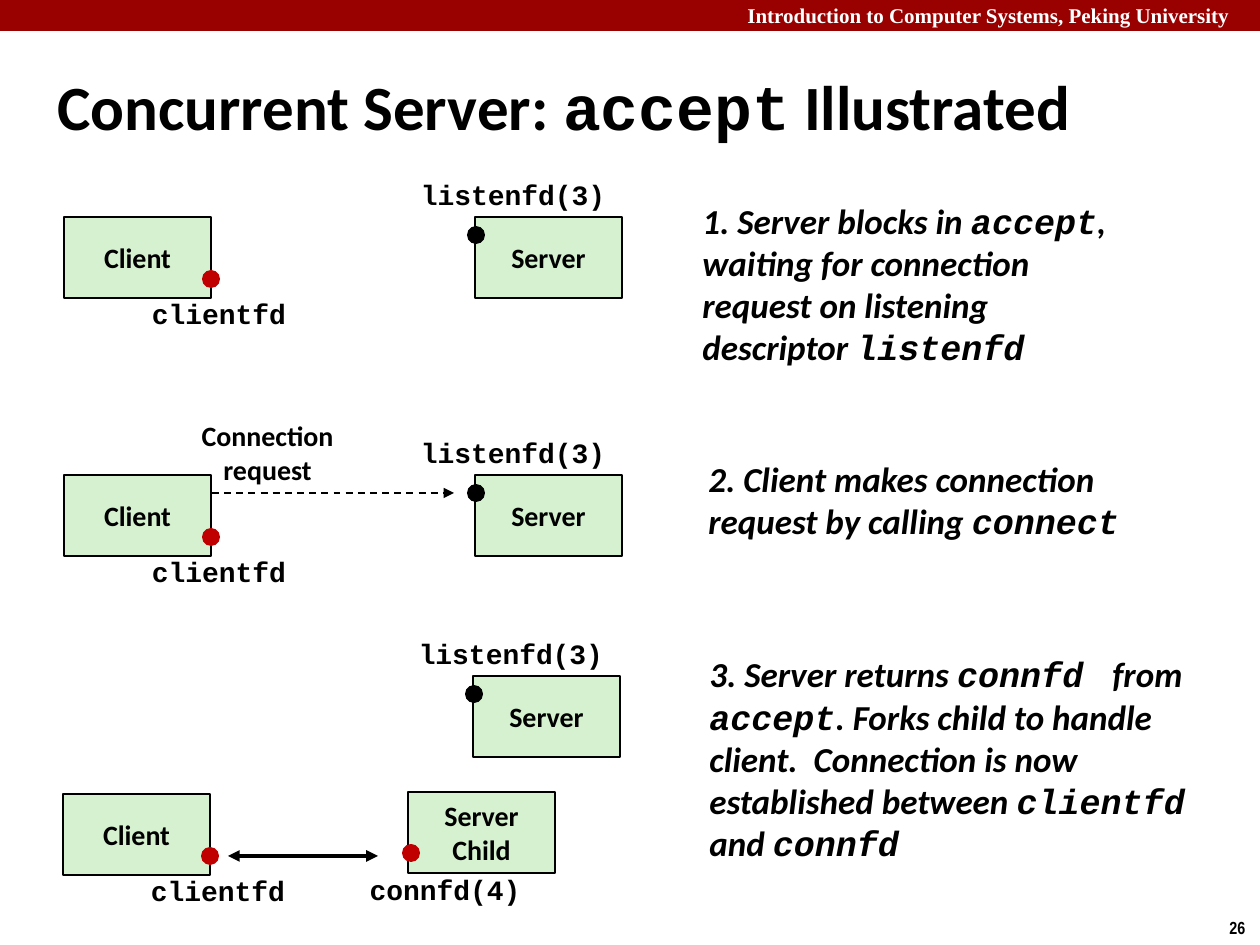
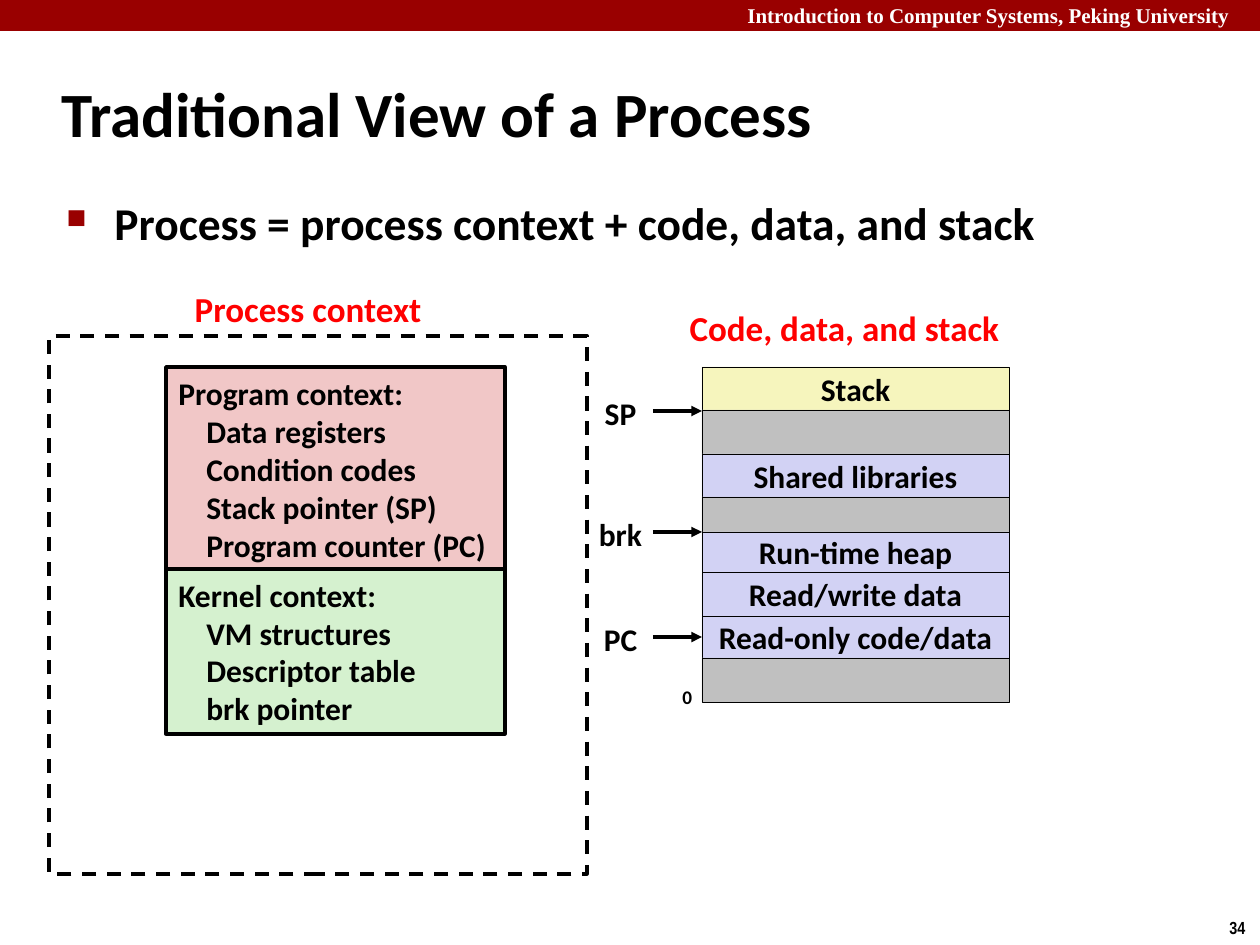
from lxml.etree import SubElement
from pptx import Presentation
from pptx.dml.color import RGBColor
from pptx.enum.dml import MSO_LINE
from pptx.enum.shapes import MSO_CONNECTOR, MSO_SHAPE
from pptx.enum.text import MSO_ANCHOR, PP_ALIGN
from pptx.oxml.ns import qn
from pptx.util import Pt

# Shared style
PX = 914400 / 126
SANS, MONO = "Calibri", "Courier New"
BLACK, WHITE, BAND, RED, DOT_RED = "000000", "FFFFFF", "990000", "FF0000", "C00000"
GREEN, PINK, YELLOW, LILAC, GRAY = "D5F1CF", "F1C7C7", "F6F5BD", "D2D2F4", "C0C0C0"
COURSE = "Introduction to Computer Systems, Peking University"
TOP, MIDDLE = MSO_ANCHOR.TOP, MSO_ANCHOR.MIDDLE
LEFT, CENTER = PP_ALIGN.LEFT, PP_ALIGN.CENTER

# Slide 1: backticks mark code
ACCEPT = {"title": "Concurrent Server: `accept` Illustrated",
          "title_at": (45, 66, 1155, 79), "number": "26"}
HOST_SIZE = (147, 81)
DOT_SIZE = (18, 18)
# Kind: dot colour, dot offset, descriptor, descriptor offset and size
HOST_KINDS = {
    "Client": (DOT_RED, (138, 53), "clientfd", (75, 73, 160, 47)),
    "Server": (BLACK, (-8, 9), "listenfd(3)", (-67, -46, 210, 47)),
    "Server\nChild": (DOT_RED, (-6, 52), "connfd(4)", (-51, 74, 176, 47)),
}
HOSTS = [
    ("Client", 64, 217), ("Server", 475, 217),
    ("Client", 64, 475), ("Server", 475, 475),
    ("Server", 473, 676),
    ("Client", 63, 794), ("Server\nChild", 408, 792),
]
STEPS = [
    ("1. Server blocks in `accept`, waiting for connection request on "
     "listening descriptor `listenfd`", (690, 192, 454, 183)),
    ("2. Client makes connection request by calling `connect`",
     (696, 451, 505, 97)),
    ("3. Server returns `connfd ` from `accept`. Forks child to handle client.  "
     "Connection is now established between `clientfd` and `connfd`",
     (697, 646, 553, 224)),
]

# Slide 2
PROCESS = {"title": "Traditional View of a Process",
           "title_at": (49, 60, 1046, 105), "number": "34"}
DEFINITION = "Process = process context + code, data, and stack"
HEADINGS = [("Process context", (180, 281, 256, 55)),
            ("Code, data, and stack", (675, 300, 339, 55))]
CONTEXTS = [
    ("Program context:\nData registers\nCondition codes\n"
     "Stack pointer (SP)\nProgram counter (PC)", PINK, (166, 367, 339, 204)),
    ("Kernel context:\nVM structures\nDescriptor table\nbrk pointer",
     GREEN, (166, 569, 339, 165)),
]
MEMORY_LEFT, MEMORY_TOP, MEMORY_WIDTH = 702, 367, 307
MEMORY = [  # region, colour, height
    ("Stack", YELLOW, 43), ("", GRAY, 44), ("Shared libraries", LILAC, 43),
    ("", GRAY, 35), ("Run-time heap", LILAC, 40), ("Read/write data", LILAC, 44),
    ("Read-only code/data", LILAC, 42), ("", GRAY, 44),
]
POINTERS = [("SP", 411), ("brk", 532), ("PC", 637)]  # name, arrow height


def emu(*lengths):
    return [round(length * PX) for length in lengths]


def color(hex_code):
    return RGBColor.from_string(hex_code)


def write(shape, text, size=16, font=SANS, ink=BLACK, italic=False, align=CENTER,
          anchor=MIDDLE, wrap=False, indent=0, bullet=None):
    """Fill a shape with lines of text; backticks switch to the code font."""
    frame = shape.text_frame
    frame.word_wrap = wrap
    frame.vertical_anchor = anchor
    for index, line in enumerate(text.split("\n")):
        paragraph = frame.add_paragraph() if index else frame.paragraphs[0]
        paragraph.alignment = align
        properties = paragraph._p.get_or_add_pPr()
        if indent and index:
            properties.set("marL", str(emu(indent)[0]))
        if bullet:
            hang = emu(48)[0]
            properties.set("marL", str(hang))
            properties.set("indent", str(-hang))
            bullet_color = SubElement(properties, qn("a:buClr"))
            SubElement(bullet_color, qn("a:srgbClr"), val=BAND)
            SubElement(properties, qn("a:buSzPct"), val="60000")
            SubElement(properties, qn("a:buChar"), char=bullet)
        for part, piece in enumerate(line.split("`")):
            if not piece:
                continue
            run = paragraph.add_run()
            run.text = piece
            run.font.name = MONO if part % 2 else font
            run.font.size = Pt(size)
            run.font.bold = True
            run.font.italic = italic
            run.font.color.rgb = color(ink)


def add_text(slide, text, box, **text_format):
    write(slide.shapes.add_textbox(*emu(*box)), text, **text_format)


def add_box(slide, box, fill=None, line=None, kind=MSO_SHAPE.RECTANGLE):
    shape = slide.shapes.add_shape(kind, *emu(*box))
    shape.shadow.inherit = False
    if fill:
        shape.fill.solid()
        shape.fill.fore_color.rgb = color(fill)
    else:
        shape.fill.background()
    if line:
        shape.line.color.rgb = color(BLACK)
        shape.line.width = Pt(line)
    else:
        shape.line.fill.background()
    return shape


def add_arrow(slide, start, end, y, width, ends=("tailEnd",), dashed=False):
    arrow = slide.shapes.add_connector(MSO_CONNECTOR.STRAIGHT, *emu(start, y, end, y))
    arrow.line.color.rgb = color(BLACK)
    arrow.line.width = Pt(width)
    if dashed:
        arrow.line.dash_style = MSO_LINE.DASH
    for end_name in ends:
        SubElement(arrow.line._get_or_add_ln(), qn("a:" + end_name), type="triangle")
    SubElement(arrow._element.spPr, qn("a:effectLst"))


def add_slide(presentation, content):
    """Blank slide with the course band, title and slide number."""
    slide = presentation.slides.add_slide(presentation.slide_layouts[6])
    add_box(slide, (0, 0, 1260, 31), BAND)
    add_text(slide, COURSE, (735, -4, 525, 38), size=12, font="Times New Roman",
             ink=WHITE, align=LEFT, anchor=TOP, wrap=True)
    add_text(slide, content["number"], (1217, 911, 43, 34), size=10,
             font="Arial Narrow", align=LEFT, anchor=TOP)
    add_text(slide, content["title"], content["title_at"], size=36, align=LEFT, wrap=True)
    return slide


def build_accept(presentation):
    slide = add_slide(presentation, ACCEPT)
    # Hosts with their descriptors
    for name, left, top in HOSTS:
        dot_color, (dot_x, dot_y), descriptor, (x, y, width, height) = HOST_KINDS[name]
        write(add_box(slide, (left, top, *HOST_SIZE), GREEN, 1), name)
        add_box(slide, (left + dot_x, top + dot_y, *DOT_SIZE), dot_color,
                kind=MSO_SHAPE.OVAL)
        add_text(slide, descriptor, (left + x, top + y, width, height), font=MONO)
    # Request and established connection
    add_text(slide, "Connection\nrequest", (188, 412, 159, 81))
    add_arrow(slide, 212, 454, 493, 1, dashed=True)
    add_arrow(slide, 228, 378, 856, 2.25, ends=("headEnd", "tailEnd"))
    # Explanations
    for text, box in STEPS:
        add_text(slide, text, box, size=20, italic=True, align=LEFT, wrap=True)


def build_process(presentation):
    slide = add_slide(presentation, PROCESS)
    add_text(slide, DEFINITION, (54, 189, 1089, 685), size=26, align=LEFT,
             anchor=TOP, wrap=True, bullet="■")
    for text, box in HEADINGS:
        add_text(slide, text, box, size=20, ink=RED)
    # Process context
    for text, fill, box in CONTEXTS:
        write(add_box(slide, box, fill, 2), text, size=18, align=LEFT, indent=28)
    frame = add_box(slide, (49, 336, 538, 538), line=2)
    frame.line.dash_style = MSO_LINE.DASH
    # Memory regions, stacked downwards
    top = MEMORY_TOP
    for name, fill, height in MEMORY:
        region = add_box(slide, (MEMORY_LEFT, top, MEMORY_WIDTH, height), fill, 0.25)
        if name:
            write(region, name, size=18)
        top += height
    add_text(slide, "0", (670, 679, 35, 37), size=11, align=LEFT, anchor=TOP)
    # Pointers into memory
    for name, y in POINTERS:
        add_text(slide, name, (586, y - 23, 69, 50), size=18)
        add_arrow(slide, 653, MEMORY_LEFT, y, 2)


def main():
    presentation = Presentation()
    presentation.slide_width, presentation.slide_height = emu(1260, 945)
    build_accept(presentation)
    build_process(presentation)
    presentation.save("out.pptx")


if __name__ == "__main__":
    main()
